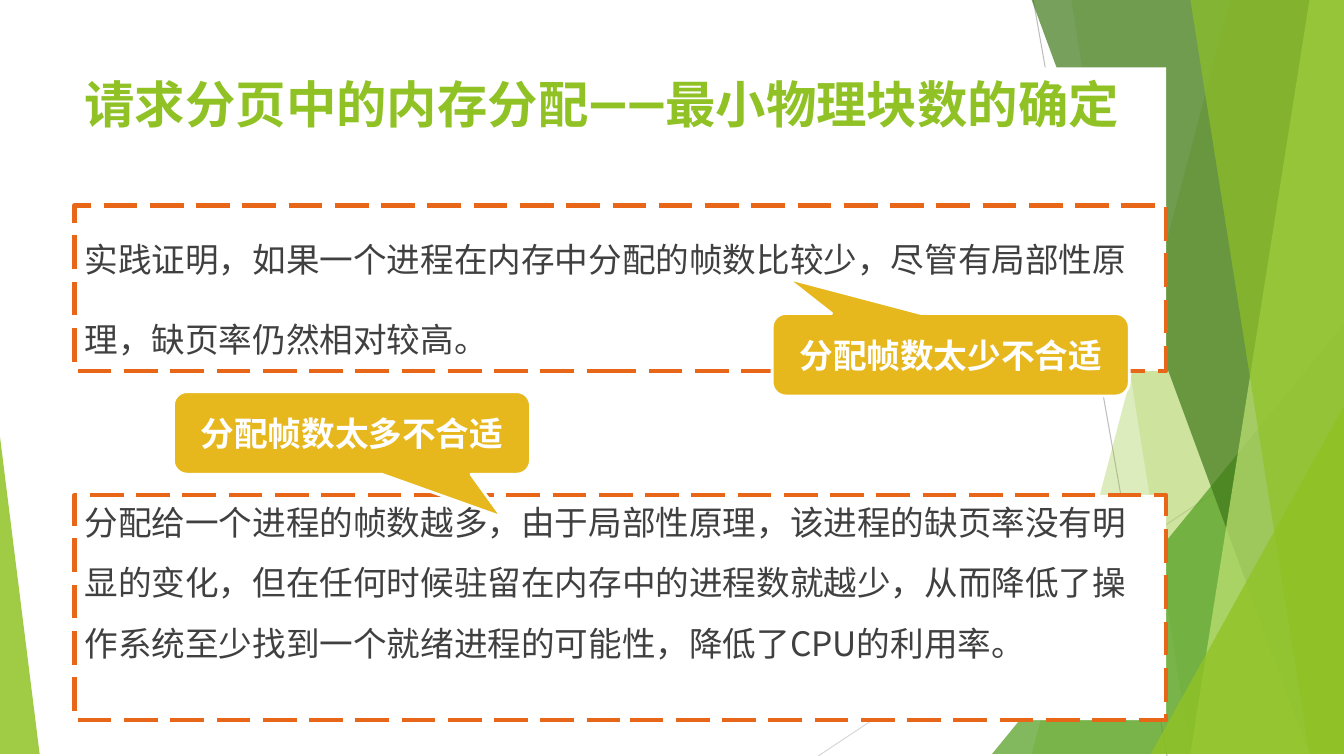
from lxml.etree import SubElement
from pptx import Presentation
from pptx.dml.color import RGBColor
from pptx.enum.dml import MSO_LINE
from pptx.enum.shapes import MSO_CONNECTOR, MSO_SHAPE
from pptx.enum.text import MSO_ANCHOR, PP_ALIGN
from pptx.oxml.ns import qn
from pptx.util import Cm, Pt

WHITE = RGBColor(0xFF, 0xFF, 0xFF)
LIME = RGBColor(0x90, 0xC2, 0x25)
GREEN = RGBColor(0x53, 0x9F, 0x20)
DARK_GREEN = RGBColor(0x3E, 0x78, 0x18)
PALE_GREEN = RGBColor(0xC0, 0xE3, 0x74)
ORANGE = RGBColor(0xE7, 0x66, 0x17)
GOLD = RGBColor(0xE6, 0xB8, 0x1E)
INK = RGBColor(0x40, 0x40, 0x40)
GREY = RGBColor(0xBE, 0xBE, 0xBE)
LIGHT_GREY = RGBColor(0xD9, 0xD9, 0xD9)

CJK, LATIN = "Noto Sans CJK SC", "Roboto"
W, H = 33.87, 19.05

# Facets of the right side: points from the top or right edge, colour, opacity
RIGHT_FACETS = [
    ([(W, 0), (31.19, 0), (25.5, H)], LIME, 30),
    ([(W, 0), (26.67, 0), (30.02, H)], LIME, 20),
    ([(W, 8.46), (24.82, H)], GREEN, 72),
    ([(W, 0), (25.93, 0), (32.79, H)], DARK_GREEN, 70),
    ([(W, 0), (33.1, 0), (30.28, H)], PALE_GREEN, 70),
    ([(W, 0), (30.38, 0), (33.48, H)], LIME, 65),
    ([(W, 9.98), (28.8, H)], LIME, 80),
]


def add_run(paragraph, text, size, color, bold=False, face=CJK):
    run = paragraph.add_run()
    run.text = text
    font = run.font
    font.size, font.bold, font.name = Pt(size), bold, face
    font.color.rgb = color
    SubElement(font._element, qn("a:ea")).set("typeface", face)


def set_insets(frame, left=0, top=0, right=0, bottom=0):
    frame.margin_left, frame.margin_top = Cm(left), Cm(top)
    frame.margin_right, frame.margin_bottom = Cm(right), Cm(bottom)
    frame.word_wrap = True


def add_facet(slide, points, color, opacity):
    builder = slide.shapes.build_freeform(*points[0], scale=Cm(1))
    builder.add_line_segments(points[1:], close=True)
    facet = builder.convert_to_shape()
    facet.shadow.inherit = False
    facet.line.fill.background()
    facet.fill.solid()
    facet.fill.fore_color.rgb = color
    srgb = facet.fill._xPr.find(qn("a:solidFill"))[0]
    SubElement(srgb, qn("a:alpha")).set("val", str(opacity * 1000))


def add_backdrop(slide):
    # Hairlines behind the facets
    for x1, y1, x2, y2, color in [(26.04, 0, 29.41, H, GREY),
                                  (W, 10.24, 20.62, H, LIGHT_GREY)]:
        hairline = slide.shapes.add_connector(
            MSO_CONNECTOR.STRAIGHT, Cm(x1), Cm(y1), Cm(x2), Cm(y2))
        hairline.line.color.rgb = color
        hairline.line.width = Pt(0.75)
        SubElement(hairline._element.spPr, qn("a:effectLst"))
    # Every right facet closes at the bottom right corner
    for points, color, opacity in RIGHT_FACETS:
        add_facet(slide, points + [(W, H)], color, opacity)
    add_facet(slide, [(0, 11.15), (0, H), (1.24, H)], LIME, 85)


def add_title(slide, left, top, width, height):
    title = slide.shapes.title
    slide.shapes._spTree.append(title._element)  # in front of the backdrop
    title.left, title.top = Cm(left), Cm(top)
    title.width, title.height = Cm(width), Cm(height)
    title.fill.solid()
    title.fill.fore_color.rgb = WHITE
    frame = title.text_frame
    set_insets(frame, left=0.25, top=0.15, right=1.1)
    frame.vertical_anchor = MSO_ANCHOR.TOP
    heading = frame.paragraphs[0]
    heading.alignment = PP_ALIGN.LEFT
    heading.line_spacing = Pt(43)
    add_run(heading, "请求分页中的内存分配", 36, LIME, True)
    add_run(heading, "——", 36, LIME, True, LATIN)
    add_run(heading, "最小物理块数的确定", 36, LIME, True)


def add_panel(slide, left, top, width, height, text, pitch, rise):
    """Dashed panel; its text starts `rise` above the panel's top edge."""
    panel = slide.shapes.add_shape(
        MSO_SHAPE.RECTANGLE, Cm(left), Cm(top), Cm(width), Cm(height))
    panel.shadow.inherit = False
    panel.fill.solid()
    panel.fill.fore_color.rgb = WHITE
    panel.line.color.rgb = ORANGE
    panel.line.width = Pt(3)
    panel.line.dash_style = MSO_LINE.LONG_DASH
    statement = slide.shapes.add_textbox(
        Cm(left + 0.25), Cm(top - rise), Cm(width - 1.05), Cm(height))
    set_insets(statement.text_frame)
    paragraph = statement.text_frame.paragraphs[0]
    paragraph.line_spacing = Pt(pitch)
    add_run(paragraph, text, 24, INK)


def add_callout(slide, left, top, width, height, text, tip):
    """Rounded callout; tip is measured from its centre, in box sizes."""
    callout = slide.shapes.add_shape(
        MSO_SHAPE.ROUNDED_RECTANGULAR_CALLOUT,
        Cm(left), Cm(top), Cm(width), Cm(height))
    callout.adjustments[0], callout.adjustments[1] = tip
    callout.shadow.inherit = False
    callout.fill.solid()
    callout.fill.fore_color.rgb = GOLD
    callout.line.color.rgb = WHITE
    callout.line.width = Pt(2)
    set_insets(callout.text_frame)
    callout.text_frame.vertical_anchor = MSO_ANCHOR.MIDDLE
    verdict = callout.text_frame.paragraphs[0]
    verdict.alignment = PP_ALIGN.CENTER
    add_run(verdict, text, 24, WHITE, True)


def main():
    deck = Presentation()
    deck.slide_width, deck.slide_height = Cm(W), Cm(H)
    slide = deck.slides.add_slide(deck.slide_layouts[5])
    left, width = 1.88, 27.51

    add_backdrop(slide)
    add_title(slide, left, 1.7, width, 3.68)

    # Too few frames
    add_panel(slide, left, 5.18, width, 4.17,
              "实践证明，如果一个进程在内存中分配的帧数比较少，"
              "尽管有局部性原理，缺页率仍然相对较高。", 57, 0.15)
    add_callout(slide, 19.46, 7.9, 9, 2.08, "分配帧数太少不合适", (-0.46, -0.93))

    # Too many frames
    add_panel(slide, left, 12.47, width, 5.68,
              "分配给一个进程的帧数越多，由于局部性原理，该进程的缺页率没有明"
              "显的变化，但在任何时候驻留在内存中的进程数就越少，从而降低了操"
              "作系统至少找到一个就绪进程的可能性，降低了CPU的利用率。", 43.2, 0.33)
    add_callout(slide, 4.37, 9.87, 9, 2.08, "分配帧数太多不合适", (0.42, 1.02))

    deck.save("out.pptx")


if __name__ == "__main__":
    main()
